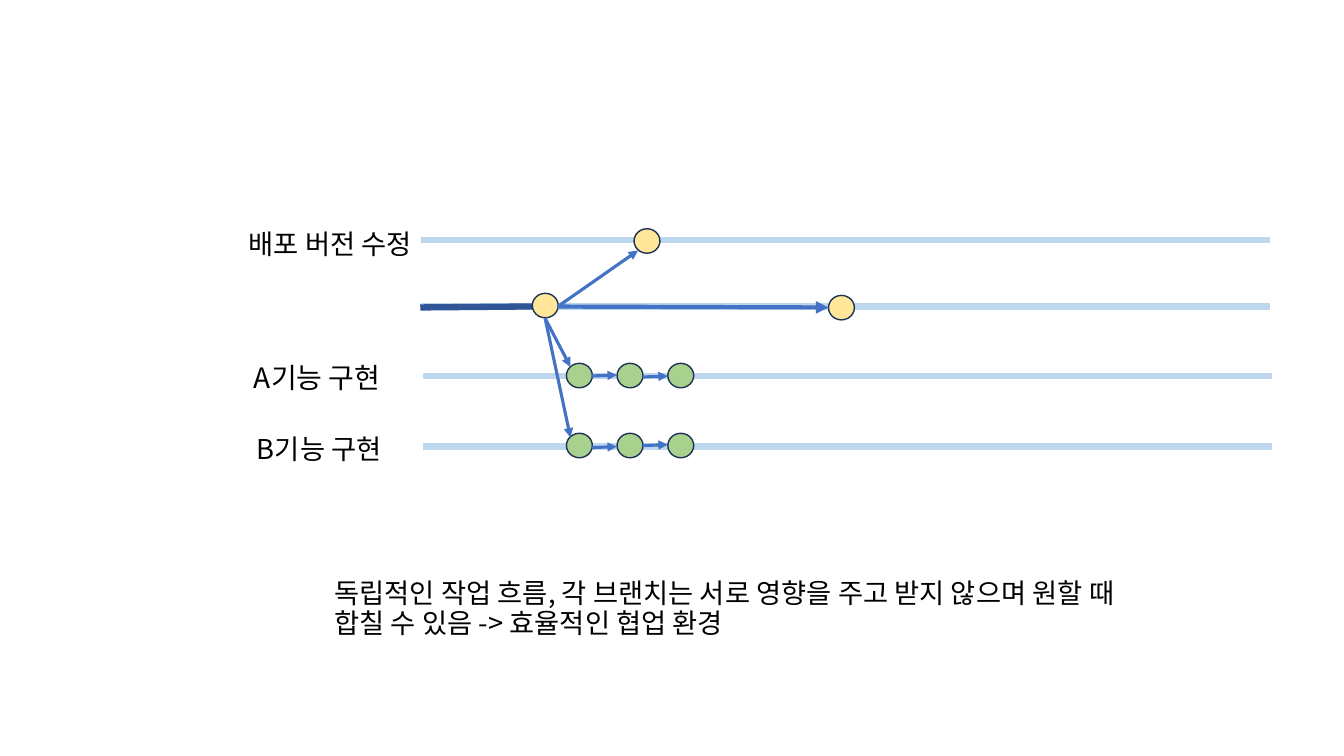
from pptx import Presentation, util as u
from pptx.dml.color import RGBColor
from pptx.enum import shapes, text
from pptx.oxml.ns import qn
from lxml import etree

FONT = "Noto Sans CJK KR"
DOT_W, DOT_H = 18.5, 17.5
YELLOW, GREEN, ARROW = "FFE699", "A9D18E", "4472C4"


def color(hex_value):
    return RGBColor.from_string(hex_value)


def draw_line(page, start, end, hex_value, width, arrow=False):
    line = page.shapes.add_connector(
        shapes.MSO_CONNECTOR.STRAIGHT, *[u.Pt(v) for v in (*start, *end)])
    line.line.color.rgb = color(hex_value)
    line.line.width = u.Pt(width)
    if arrow:
        etree.SubElement(line.line._get_or_add_ln(), qn("a:tailEnd"), type="triangle")
    etree.SubElement(line._element.spPr, qn("a:effectLst"))


deck = Presentation()
deck.slide_width, deck.slide_height = u.Pt(960), u.Pt(540)
page = deck.slides.add_slide(deck.slide_layouts[0])
subtitle = page.placeholders[1]._element
subtitle.getparent().remove(subtitle)

# Branch labels and summary
labels = [
    ("A기능 구현", 174.2, 252, 114.5, 33.1, 20),
    ("B기능 구현", 176.4, 303.1, 200.2, 33.1, 19.5),
    ("배포 버전 수정", 170.6, 156.2, 200.2, 33.1, 19.5),
    ("독립적인 작업 흐름, 각 브랜치는 서로 영향을 주고 받지 않으며 원할 때 합칠 수 있음 "
     "-> 효율적인 협업 환경", 231.8, 379.4, 578.2, 80.6, 19.5),
]
for index, (words, left, top, width, height, size) in enumerate(labels):
    place = [u.Pt(v) for v in (left, top, width, height)]
    if index == 0:
        box = page.shapes.title
        box.left, box.top, box.width, box.height = place
    else:
        box = page.shapes.add_textbox(*place)
    frame = box.text_frame
    frame.word_wrap = True
    frame.auto_size = text.MSO_AUTO_SIZE.NONE
    frame.vertical_anchor = text.MSO_ANCHOR.BOTTOM
    para = frame.paragraphs[0]
    para.text = words
    para.alignment = text.PP_ALIGN.LEFT
    para.line_spacing = 0.9
    para.font.size = u.Pt(size)
    para.font.name = FONT
    para.font.color.rgb = color("000000")
    # Hangul takes the East Asian typeface
    latin = para._p.pPr.find(qn("a:defRPr")).find(qn("a:latin"))
    latin.addnext(latin.makeelement(qn("a:ea"), {"typeface": FONT}))

# Branch lanes, then the finished part of the main lane
for left, y in [(301, 171.4), (301, 219), (302.4, 268.6), (302.4, 319)]:
    draw_line(page, (left, y), (left + 606.2, y), "BDD7EE", 4.5)
draw_line(page, (300.2, 219.6), (380.2, 218.9), "2F5597", 4.5)

# Commits: three per feature lane
commits = [(380.2, 209.5, YELLOW), (591.8, 211, YELLOW), (452.9, 163.4, YELLOW)]
commits += [(404.6 + 36.2 * step, top, GREEN) for top in (259.5, 309.5) for step in range(3)]
for left, top, fill in commits:
    dot = page.shapes.add_shape(
        shapes.MSO_SHAPE.OVAL, *[u.Pt(v) for v in (left, top, DOT_W, DOT_H)])
    dot.shadow.inherit = False
    dot.fill.solid()
    dot.fill.fore_color.rgb = color(fill)
    dot.line.color.rgb = color("1E3256")
    dot.line.width = u.Pt(1)

# Arrows leaving the shared commit
draw_line(page, (398.4, 219), (591.8, 219.6), ARROW, 3, arrow=True)
draw_line(page, (398.4, 219), (455.8, 178.9), ARROW, 2.25, arrow=True)
for end_y in (262.1, 312.5):
    draw_line(page, (389.4, 227.4), (407.5, end_y), ARROW, 2.25, arrow=True)

# Arrows between feature commits
for lane in [(268.6, 269.3), (319.7, 318.3)]:
    for step, y in enumerate(lane):
        left = 422.6 + 36.4 * step
        draw_line(page, (left, y), (left + 18, y - 0.7), ARROW, 2.25, arrow=True)

deck.save("out.pptx")
